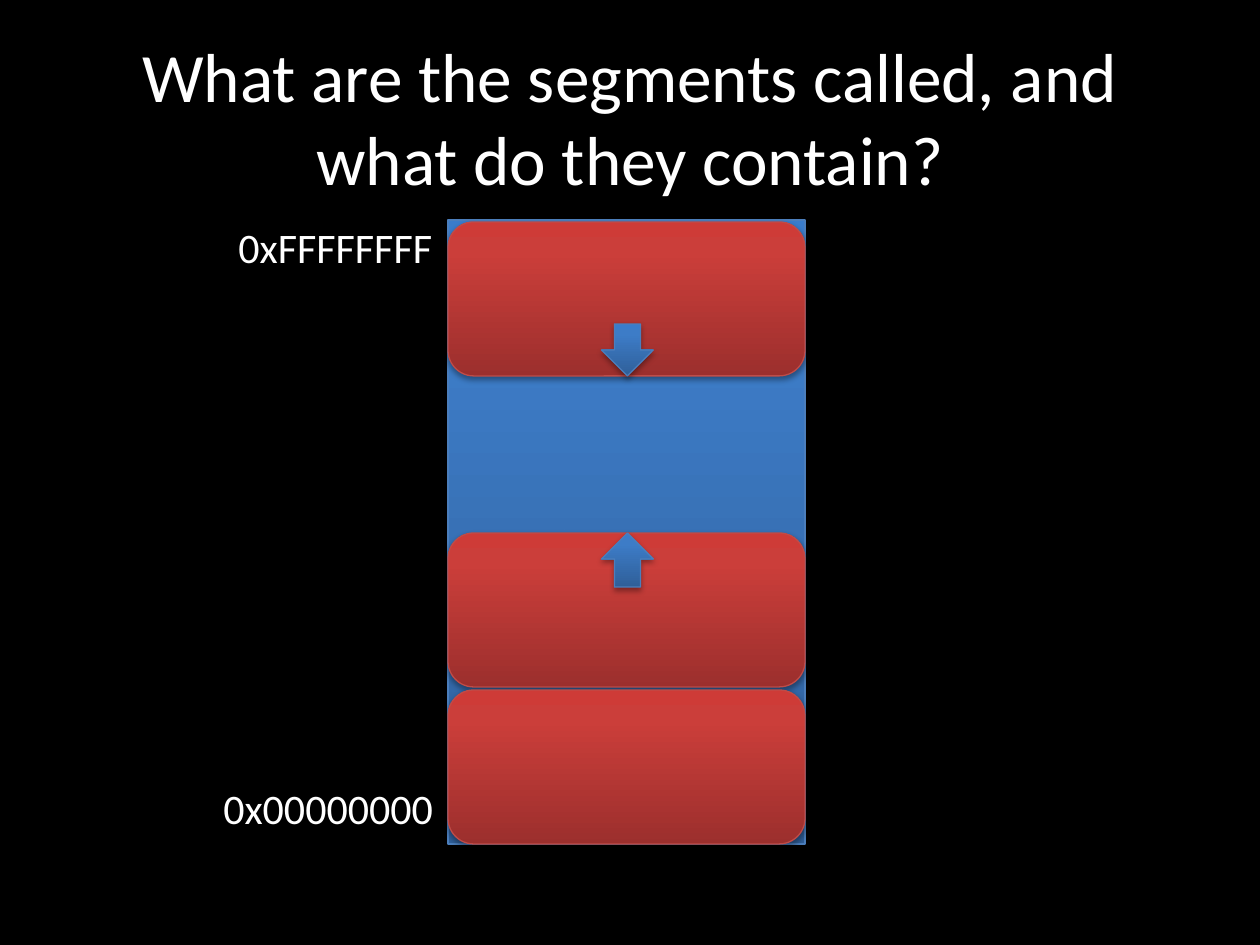
from copy import deepcopy

from lxml import etree
from pptx import Presentation
from pptx import util as u
from pptx.dml.color import RGBColor
from pptx.enum import shapes, text
from pptx.oxml.ns import qn

PX_PER_INCH = 126
FONT = "Calibri"
COLORS = {"background": "000000", "text": "FFFFFF", "shadow": "000000"}
# Gradient stops run from the bottom of a shape to its top.
STYLES = {
    "blue": {"stops": [(0, "2F5F99"), (0.8, "3D7CC7"), (1, "3A7CCB")], "line": "4B7EBC"},
    "red": {"stops": [(0, "9C2F2D"), (0.8, "CB3E3A"), (1, "CE3B37")], "line": "BF4C48"},
}

TITLE = "What are the segments called, and what do they contain?"
TITLE_BOX = (63, 38, 1134, 157)
MEMORY_LEFT, MEMORY_TOP, MEMORY_WIDTH, MEMORY_HEIGHT = 448, 220, 357, 624
SEGMENT_HEIGHT = 154
STACK_TOP, HEAP_TOP, LOW_TOP = 222, 533, 690
ARROW_WIDTH, DOWN_HEIGHT, UP_HEIGHT = 52, 52, 54
ADDRESS_HEIGHT = 63
ADDRESSES = [("0xFFFFFFFF", 215, 222), ("0x00000000", 776, 237)]  # text, top, width


def px(value):
    return u.Inches(value / PX_PER_INCH)


def rgb(hex_color):
    return RGBColor.from_string(hex_color)


def format_paragraph(paragraph, size, align):
    paragraph.alignment = align
    paragraph.font.size = u.Pt(size)
    paragraph.font.name = FONT
    paragraph.font.color.rgb = rgb(COLORS["text"])


def add_shadow(shape):
    """Give the shape a soft shadow that falls straight down."""
    shape.shadow.inherit = False
    effects = shape._element.spPr.find(qn("a:effectLst"))
    outer = etree.SubElement(effects, qn("a:outerShdw"), blurRad="40000", dist="23000",
                             dir="5400000", rotWithShape="0")
    color = etree.SubElement(outer, qn("a:srgbClr"), val=COLORS["shadow"])
    etree.SubElement(color, qn("a:alpha"), val="35000")


def add_block(slide, preset, box, style):
    block = slide.shapes.add_shape(preset, *map(px, box))
    block.fill.gradient()
    block.fill.gradient_angle = 90
    stop_list = block._element.spPr.find(qn("a:gradFill")).find(qn("a:gsLst"))
    stop_list.append(deepcopy(stop_list[0]))
    for stop, (position, color) in zip(block.fill.gradient_stops, STYLES[style]["stops"]):
        stop.position = position
        stop.color.rgb = rgb(color)
    block.line.color.rgb = rgb(STYLES[style]["line"])
    block.line.width = u.Pt(0.75)
    add_shadow(block)


def add_address(slide, address, top, width):
    """Place an address label so that it ends at the memory column."""
    label = slide.shapes.add_textbox(*map(px, (MEMORY_LEFT - width, top, width, ADDRESS_HEIGHT)))
    frame = label.text_frame
    frame.word_wrap = False
    frame.auto_size = text.MSO_AUTO_SIZE.SHAPE_TO_FIT_TEXT
    frame.text = address
    format_paragraph(frame.paragraphs[0], 24, text.PP_ALIGN.LEFT)


def main():
    prs = Presentation()
    prs.slide_width, prs.slide_height = u.Inches(10), u.Inches(7.5)
    slide = prs.slides.add_slide(prs.slide_layouts[5])
    slide.background.fill.solid()
    slide.background.fill.fore_color.rgb = rgb(COLORS["background"])

    title = slide.shapes.title
    title.left, title.top, title.width, title.height = map(px, TITLE_BOX)
    title.text_frame.text = TITLE
    title.text_frame.auto_size = text.MSO_AUTO_SIZE.NONE
    title.text_frame.vertical_anchor = text.MSO_ANCHOR.MIDDLE
    format_paragraph(title.text_frame.paragraphs[0], 39.6, text.PP_ALIGN.CENTER)

    preset = shapes.MSO_SHAPE
    add_block(slide, preset.RECTANGLE,
              (MEMORY_LEFT, MEMORY_TOP, MEMORY_WIDTH, MEMORY_HEIGHT), "blue")
    for top in (STACK_TOP, HEAP_TOP, LOW_TOP):
        add_block(slide, preset.ROUNDED_RECTANGLE,
                  (MEMORY_LEFT, top, MEMORY_WIDTH, SEGMENT_HEIGHT), "red")

    arrow_left = MEMORY_LEFT + (MEMORY_WIDTH - ARROW_WIDTH) / 2 + 1
    stack_bottom = STACK_TOP + SEGMENT_HEIGHT
    add_block(slide, preset.UP_ARROW, (arrow_left, HEAP_TOP, ARROW_WIDTH, UP_HEIGHT), "blue")
    add_block(slide, preset.DOWN_ARROW,
              (arrow_left, stack_bottom - DOWN_HEIGHT, ARROW_WIDTH, DOWN_HEIGHT), "blue")

    for address in ADDRESSES:
        add_address(slide, *address)
    prs.save("out.pptx")


if __name__ == "__main__":
    main()
